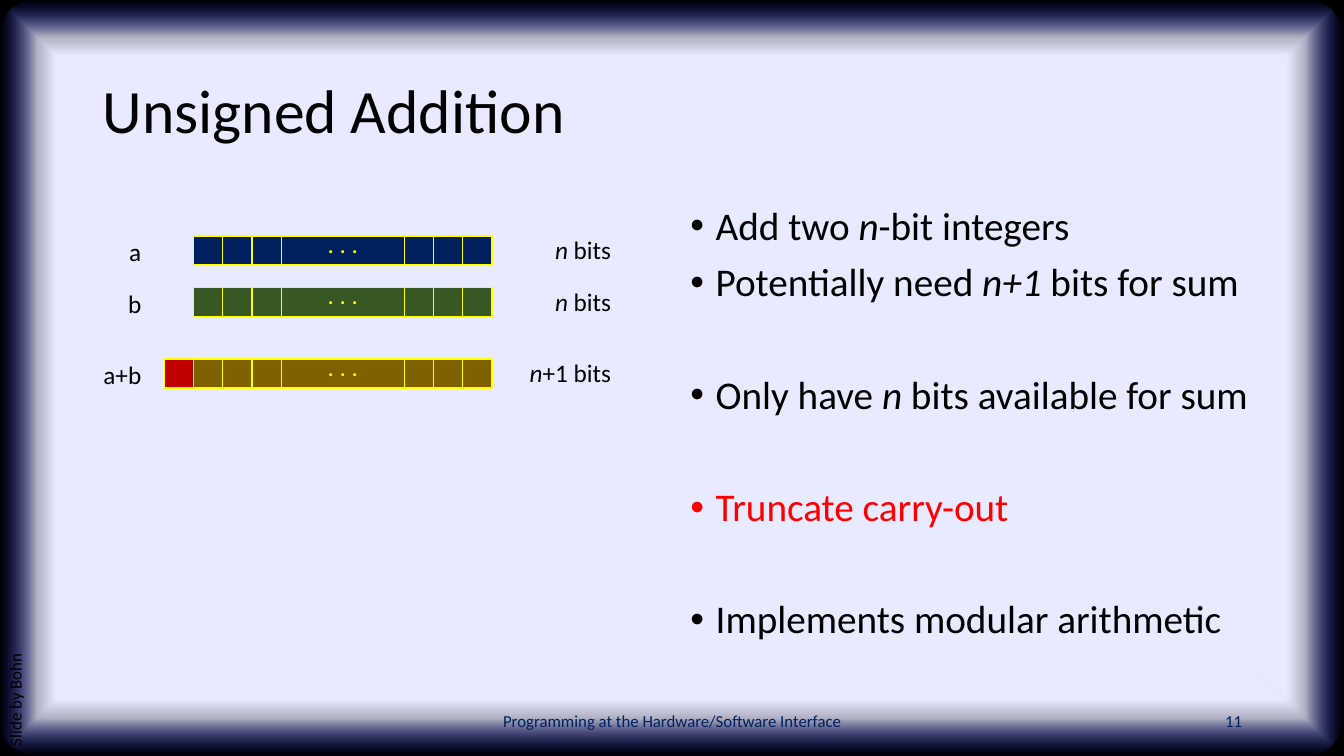
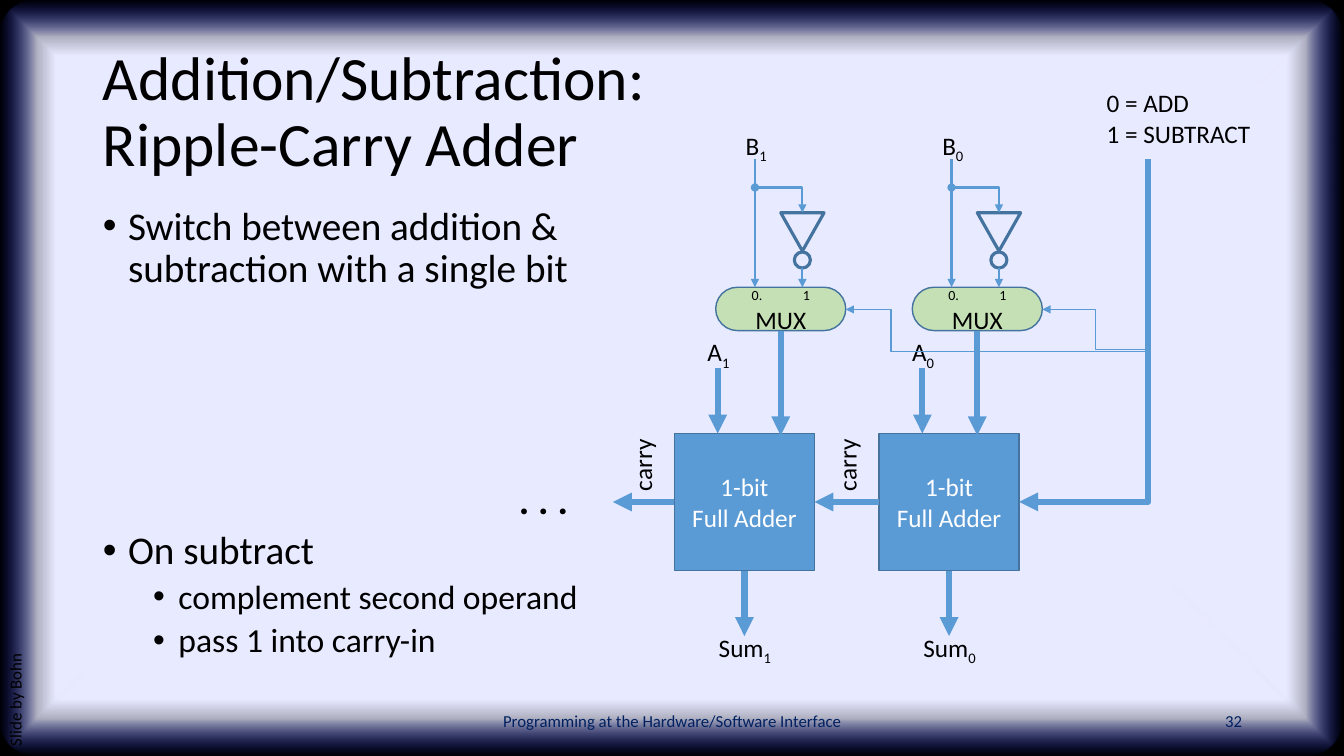
from lxml.etree import SubElement
from pptx import Presentation
from pptx.dml.color import RGBColor
from pptx.enum.shapes import MSO_CONNECTOR, MSO_SHAPE
from pptx.enum.text import MSO_ANCHOR, MSO_AUTO_SIZE, PP_ALIGN
from pptx.oxml import parse_xml
from pptx.oxml.ns import nsdecls, qn
from pptx.util import Inches, Pt

BLACK = RGBColor(0x00, 0x00, 0x00)
WHITE = RGBColor(0xFF, 0xFF, 0xFF)
NAVY = RGBColor(0x00, 0x20, 0x60)
GREEN = RGBColor(0x38, 0x57, 0x23)
BROWN = RGBColor(0x80, 0x60, 0x00)
DARK_RED = RGBColor(0xC0, 0x00, 0x00)
RED = RGBColor(0xFF, 0x00, 0x00)
YELLOW = RGBColor(0xFF, 0xFF, 0x00)
BLUE = RGBColor(0x5B, 0x9B, 0xD5)
STEEL = RGBColor(0x43, 0x73, 0x9E)
PALE_GREEN = RGBColor(0xC5, 0xE0, 0xB4)

FONT = "Calibri"
COLUMNS, ROWS = 133.33, 75  # a grid of tenth-inch cells
FOOTER = "Programming at the Hardware/Software Interface"
CREDIT = "Slide by Bohn"
TOP, LEFT, BOTTOM, RIGHT = range(4)

GLOW = f"""<a:gradFill {nsdecls("a")} rotWithShape="1"><a:gsLst>
<a:gs pos="85000"><a:srgbClr val="E8EAFF"/></a:gs>
<a:gs pos="90000"><a:srgbClr val="E8EAFF"><a:alpha val="75000"/></a:srgbClr></a:gs>
<a:gs pos="100000"><a:srgbClr val="162AFF"><a:alpha val="0"/></a:srgbClr></a:gs>
</a:gsLst><a:path path="shape">
<a:fillToRect l="50000" t="50000" r="50000" b="50000"/></a:path></a:gradFill>"""


def cells(count):
    """Turn a number of grid cells into a length."""
    return Inches(round(count / 10, 4))


def italic(text):
    return text, "italic"


def subscript(text):
    return text, "subscript"


class Deck:
    def __init__(self):
        self.presentation = Presentation()
        self.presentation.slide_width = cells(COLUMNS)
        self.presentation.slide_height = cells(ROWS)
        self.layout = self.presentation.slide_layouts[1]
        self.slide = None

    def start_slide(self, title, number):
        self.slide = self.presentation.slides.add_slide(self.layout)
        if len(self.presentation.slides) == 1:
            self.frame_layout()
        shape = self.slide.shapes.title
        self.place(shape, 9.2, 4, 115, 14.5)
        shape.text_frame.vertical_anchor = MSO_ANCHOR.MIDDLE
        self.set_text(shape.text_frame.paragraphs[0], [title], 44, spacing=0.9)
        self.text(44.2, 69.5, 45, 4, [FOOTER], 12, NAVY, PP_ALIGN.CENTER,
                  anchor=MSO_ANCHOR.MIDDLE)
        self.text(94.2, 69.5, 30, 4, [str(number)], 12, NAVY, PP_ALIGN.RIGHT,
                  anchor=MSO_ANCHOR.MIDDLE)
        self.text(-24.4, 46.6, 52.8, 4, [CREDIT], 12, rotation=270)

    def frame_layout(self):
        """Put the black edge and the glowing panel on the shared layout."""
        edge = self.shape(MSO_SHAPE.RECTANGLE, 0, 0, COLUMNS, ROWS, BLACK)
        panel = self.shape(MSO_SHAPE.ROUNDED_RECTANGLE, 0, 0, COLUMNS, ROWS)
        panel.adjustments[0] = 0.05
        properties = panel._element.spPr
        properties.replace(properties.find(qn("a:noFill")), parse_xml(GLOW))
        for position, shape in enumerate((edge, panel), start=2):
            self.layout.shapes._spTree.insert(position, shape._element)

    @staticmethod
    def place(shape, left, top, width, height):
        shape.left, shape.top = cells(left), cells(top)
        shape.width, shape.height = cells(width), cells(height)

    @staticmethod
    def set_text(paragraph, pieces, size, color=BLACK, align=PP_ALIGN.LEFT,
                 bold=None, spacing=None):
        """Fill a paragraph with plain strings and styled pieces."""
        paragraph.alignment = align
        paragraph.line_spacing = spacing
        font = paragraph.font
        font.name, font.size, font.bold = FONT, Pt(size), bold
        font.color.rgb = color
        for piece in pieces:
            text, style = (piece, None) if isinstance(piece, str) else piece
            for index, part in enumerate(text.split("\n")):
                if index:
                    paragraph.add_line_break()
                run = paragraph.add_run()
                run.text = part
                if style == "italic":
                    run.font.italic = True
                elif style == "subscript":
                    run._r.get_or_add_rPr().set("baseline", "-25000")

    def bullets(self, left, top, width, height, items):
        """Each item is (pieces, level, space before, colour)."""
        shape = self.slide.placeholders[1]
        self.place(shape, left, top, width, height)
        frame = shape.text_frame
        frame.auto_size = MSO_AUTO_SIZE.NONE
        for index, (pieces, level, before, color) in enumerate(items):
            paragraph = frame.add_paragraph() if index else frame.paragraphs[0]
            paragraph.level = level
            properties = paragraph._p.get_or_add_pPr()
            properties.set("marL", str(Inches(0.25 + 0.5 * level)))
            properties.set("indent", str(-Inches(0.25)))
            SubElement(properties, qn("a:buChar")).set("char", "•")
            paragraph.space_before = Pt(before)
            self.set_text(paragraph, pieces, 28 - 4 * level, color, spacing=0.9)

    def text(self, left, top, width, height, pieces, size=18, color=BLACK,
             align=PP_ALIGN.LEFT, anchor=MSO_ANCHOR.TOP, rotation=0, bold=None):
        box = self.slide.shapes.add_textbox(
            cells(left), cells(top), cells(width), cells(height))
        box.rotation = rotation
        box.text_frame.word_wrap = True
        box.text_frame.vertical_anchor = anchor
        self.set_text(box.text_frame.paragraphs[0], pieces, size, color, align, bold)
        return box

    def shape(self, kind, left, top, width, height, fill=None, line=None,
              weight=1, text=None, color=BLACK):
        shape = self.slide.shapes.add_shape(
            kind, cells(left), cells(top), cells(width), cells(height))
        shape.shadow.inherit = False
        if fill is None:
            shape.fill.background()
        else:
            shape.fill.solid()
            shape.fill.fore_color.rgb = fill
        if line is None:
            shape.line.fill.background()
        else:
            shape.line.color.rgb = line
            shape.line.width = Pt(weight)
        if text:
            shape.text_frame.vertical_anchor = MSO_ANCHOR.MIDDLE
            self.set_text(shape.text_frame.paragraphs[0], [text], 18, color,
                          PP_ALIGN.CENTER)
        return shape

    def arrow(self, start, end, weight=4.5, head=None, tail="triangle",
              corner=False, bend=None):
        """Draw an arrow: straight, with one corner, or bent at a share of its width."""
        bent = corner or bend is not None
        kind = MSO_CONNECTOR.ELBOW if bent else MSO_CONNECTOR.STRAIGHT
        connector = self.slide.shapes.add_connector(
            kind, *(cells(value) for value in (*start, *end)))
        connector.line.color.rgb = BLUE
        connector.line.width = Pt(weight)
        properties = connector._element.spPr
        geometry = properties.find(qn("a:prstGeom"))
        if corner:
            geometry.set("prst", "bentConnector2")
        elif bent:
            guide = SubElement(geometry.find(qn("a:avLst")), qn("a:gd"))
            guide.set("name", "adj1")
            guide.set("fmla", f"val {round(bend * 100000)}")
        outline = properties.find(qn("a:ln"))
        for tag, mark in (("a:headEnd", head), ("a:tailEnd", tail)):
            if mark:
                SubElement(outline, qn(tag)).set("type", mark)
        SubElement(properties, qn("a:effectLst"))
        return connector


def draw_bits(deck, top, color, name, size_label, carry=False):
    """Draw one labelled row of bits with its middle left out."""
    bit, first, middle = 2.9, 19.2, 12.2
    gap = first + 3 * bit
    columns = [first + bit * index for index in range(3)]
    columns += [gap + middle + bit * index for index in range(3)]
    for left in columns:
        deck.shape(MSO_SHAPE.RECTANGLE, left, top, bit, bit, color, YELLOW)
    dots = deck.shape(MSO_SHAPE.RECTANGLE, gap, top, middle, bit, color, YELLOW,
                      text=". . .", color=YELLOW)
    dots.text_frame.margin_bottom = cells(1.9)
    if carry:
        deck.shape(MSO_SHAPE.RECTANGLE, first - bit, top, bit, bit, DARK_RED, YELLOW)
    deck.text(5, top - 0.4, 10, 4, [name], align=PP_ALIGN.RIGHT)
    deck.text(46.6, top - 0.6, 15, 4, size_label, align=PP_ALIGN.RIGHT)


def draw_adder(deck, left, digit):
    """Draw a full adder with its A input, sum output and carry label."""
    adder = deck.shape(MSO_SHAPE.RECTANGLE, left, 43, 13.9, 13.6, BLUE, STEEL,
                       text="1-bit\nFull Adder", color=WHITE)
    deck.arrow((left + 4.3, 36.5), (left + 4.3, 43))
    deck.text(left + 2.3, 32.9, 6, 4, ["A", subscript(digit)])
    total = deck.arrow((left + 6.95, 56.6), (left + 6.95, 63.1))
    total.begin_connect(adder, BOTTOM)
    deck.text(left + 2, 62.2, 10, 4, ["Sum", subscript(digit)],
              align=PP_ALIGN.CENTER)
    deck.text(left - 6.8, 44.1, 7.2, 4, ["carry"], rotation=270)
    return adder


def draw_selector(deck, left, digit):
    """Draw the B input, its inverter and the multiplexer that picks one."""
    straight, inverted = left + 3.9, left + 8.6
    deck.text(left + 2, 12.4, 6, 4, ["B", subscript(digit)])
    inverter = deck.shape(MSO_SHAPE.ISOSCELES_TRIANGLE, inverted - 2.15, 21.1,
                          4.3, 3.8, line=STEEL, weight=2.25)
    inverter.rotation = 180
    deck.shape(MSO_SHAPE.OVAL, inverted - 0.8, 25, 1.6, 1.6, line=STEEL, weight=2.25)
    selector = deck.shape(MSO_SHAPE.ROUNDED_RECTANGLE, left, 28.5, 12.9, 4.3,
                          PALE_GREEN, STEEL, text="MUX")
    selector.adjustments[0] = 0.5
    selector.text_frame.margin_top = cells(2)
    selector.text_frame.margin_bottom = 0
    for center, label in ((left + 4.1, "0."), (left + 9, "1")):
        deck.text(center - 2, 28, 4, 2.6, [label], 10, align=PP_ALIGN.CENTER,
                  anchor=MSO_ANCHOR.MIDDLE)
    deck.arrow((inverted, 26.6), (inverted, 28.5), 1.5)
    deck.arrow((straight, 15.8), (straight, 28.5), 1.5)
    deck.arrow((straight, 18.6), (inverted, 21.1), 1.5, head="oval", corner=True)
    result = deck.arrow((left + 6.45, 32.8), (left + 6.45, 43.2))
    result.begin_connect(selector, BOTTOM)


def unsigned_addition(deck):
    deck.start_slide("Unsigned Addition", 11)
    deck.bullets(67.5, 20, 60.3, 51, [
        (["Add two ", italic("n"), "-bit integers"], 0, 10, BLACK),
        (["Potentially need ", italic("n+1"), " bits for sum"], 0, 10, BLACK),
        (["Only have ", italic("n"), " bits available for sum"], 0, 50, BLACK),
        (["Truncate carry-out"], 0, 50, RED),
        (["Implements modular arithmetic"], 0, 50, BLACK),
    ])
    draw_bits(deck, 23.4, NAVY, "a", [italic("n"), " bits"])
    draw_bits(deck, 28.5, GREEN, "b", [italic("n"), " bits"])
    draw_bits(deck, 35.6, BROWN, "a+b", [italic("n"), "+1 bits"], carry=True)


def ripple_carry_adder(deck):
    deck.start_slide("Addition/Subtraction:\nRipple-Carry Adder", 32)
    deck.bullets(9.2, 20, 56.7, 47.6, [
        (["Switch between addition & subtraction with a single bit"], 0, 10, BLACK),
        (["On subtract"], 0, 171, BLACK),
        (["complement second operand"], 1, 5, BLACK),
        (["pass 1 into carry-in"], 1, 5, BLACK),
    ])
    low = draw_adder(deck, 87.2, "0")
    high = draw_adder(deck, 66.9, "1")
    carry = deck.arrow((87.2, 49.8), (80.8, 49.8))
    carry.begin_connect(low, LEFT)
    carry.end_connect(high, RIGHT)
    carry_out = deck.arrow((66.9, 49.8), (60.8, 49.8))
    carry_out.begin_connect(high, LEFT)
    deck.text(50.5, 46.7, 9, 5.7, [". . ."], 28, bold=True)

    draw_selector(deck, 90.5, "0")
    draw_selector(deck, 71, "1")
    deck.text(108.8, 8.2, 18, 7.1, ["0 = ADD\n1 = SUBTRACT"])
    deck.arrow((101.1, 49.8), (113.9, 15.8), head="triangle", tail=None, corner=True)
    deck.arrow((113.9, 34.7), (103.4, 30.7), 1, bend=0.5)
    deck.arrow((113.9, 34.9), (83.9, 30.7), 1, bend=0.85)


def main():
    deck = Deck()
    unsigned_addition(deck)
    ripple_carry_adder(deck)
    deck.presentation.save("out.pptx")


if __name__ == "__main__":
    main()
